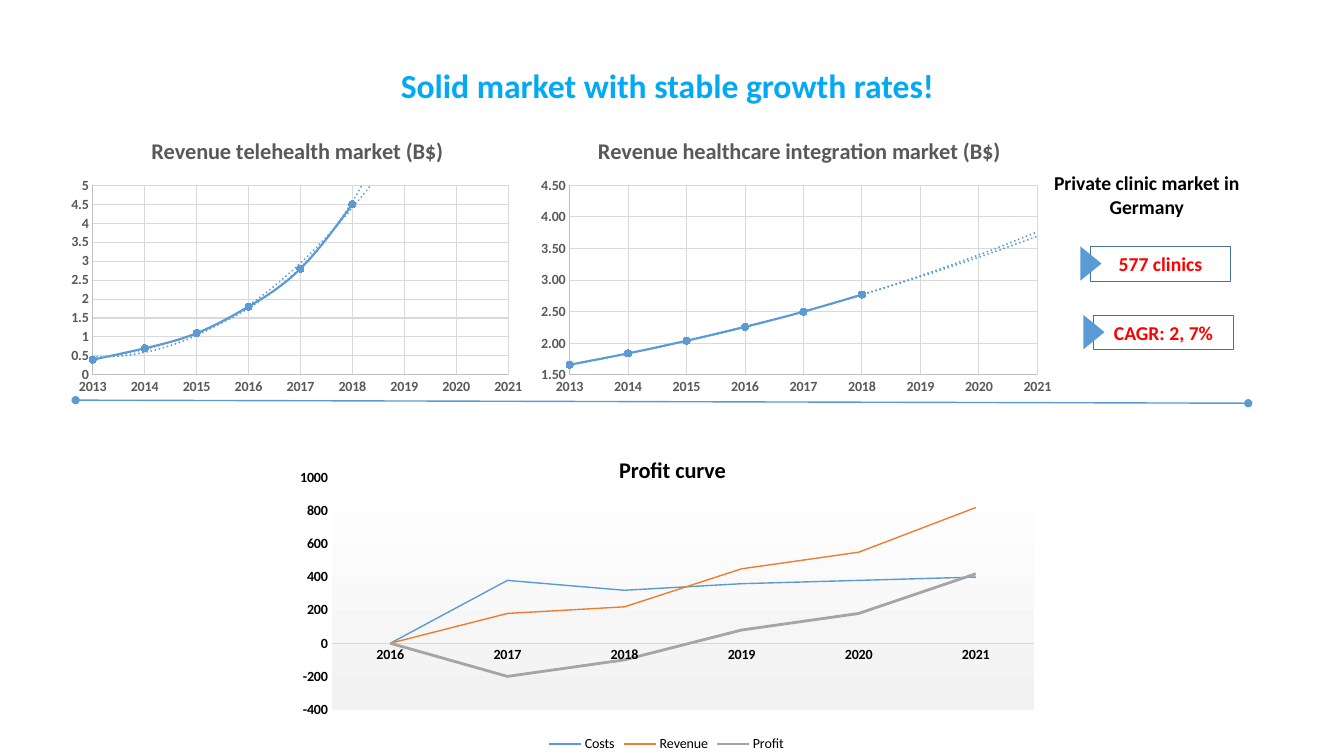
from pptx import Presentation
from pptx.chart.data import CategoryChartData, XyChartData
from pptx.dml.color import RGBColor
from pptx.enum.chart import XL_CHART_TYPE, XL_LEGEND_POSITION, XL_MARKER_STYLE, XL_TICK_MARK
from pptx.enum.shapes import MSO_CONNECTOR, MSO_SHAPE
from pptx.enum.text import MSO_ANCHOR, PP_ALIGN
from pptx.oxml import parse_xml
from pptx.oxml.ns import nsdecls, qn
from pptx.util import Inches, Pt

# Content; boxes are (left, top, width, height) in inches
TITLE = "Solid market with stable growth rates!"
CLINICS = "Private clinic market in Germany"
BADGES = [("577 clinics", 10.82, 2.45), ("CAGR: 2, 7%", 10.85, 3.13)]
MARKETS = [
    dict(title="Revenue telehealth market (B$)", values=[0.4, 0.7, 1.1, 1.8, 2.8, 4.5],
         low=0, high=5, fmt="General", box=(0.62, 1.2, 4.65, 2.77),
         plot=(0.92, 1.84, 4.12, 1.88), title_at=(1.46, 1.31)),
    dict(title="Revenue healthcare integration market (B$)",
         values=[1.66, 1.84, 2.04, 2.26, 2.5, 2.77],
         low=1.5, high=4.5, fmt="0.00", box=(5.27, 1.2, 5.26, 2.77),
         plot=(5.65, 1.84, 4.64, 1.88), title_at=(5.89, 1.31)),
]
YEARS = range(2013, 2022)
PROFIT_TITLE = "Profit curve"
PROFIT_YEARS = ["2016", "2017", "2018", "2019", "2020", "2021"]
PROFIT_SERIES = [
    ("Costs", [0, 380, 320, 360, 380, 400], "5B9BD5", 1),
    ("Revenue", [0, 180, 220, 450, 550, 820], "ED7D31", 1),
    ("Profit", [0, -200, -100, 80, 180, 420], "A5A5A5", 2),
]
PROFIT_BOX, PROFIT_PLOT = (2.82, 4.11, 7.58, 3.39), (3.29, 4.74, 6.97, 2.3)
BLUE, GREY, GRID, AXIS = "5B9BD5", "595959", "D9D9D9", "BFBFBF"


def rgb(color):
    return RGBColor.from_string(color)


def inches(box):
    return [Inches(v) for v in box]


def set_font(font, size=10, color="000000", bold=False):
    font.name, font.size, font.bold = "Calibri", Pt(size), bold
    font.color.rgb = rgb(color)


def set_line(line, color, width):
    line.color.rgb = rgb(color)
    line.width = Pt(width)


def write(tf, text, anchor=MSO_ANCHOR.TOP, **font):
    tf.word_wrap = True
    tf.vertical_anchor = anchor
    p = tf.paragraphs[0]
    p.alignment = PP_ALIGN.CENTER
    r = p.add_run()
    r.text = text
    set_font(r.font, **font)


def layout_xml(box, at, inner=False):
    """Manual chart layout from slide positions, as fractions of the chart box."""
    parts = ['<c:layoutTarget val="inner"/>'] if inner else []
    names = ["x", "y", "w", "h"][:len(at)]
    parts += [f'<c:{n}Mode val="edge"/>' for n in names[:2]]
    shares = [(at[0] - box[0]) / box[2], (at[1] - box[1]) / box[3]]
    shares += [length / full for length, full in zip(at[2:], box[2:])]
    parts += [f'<c:{n} val="{v:.4f}"/>' for n, v in zip(names, shares)]
    return parse_xml(f'<c:layout {nsdecls("c")}><c:manualLayout>{"".join(parts)}'
                     '</c:manualLayout></c:layout>')


def add_chart(kind, data, box, plot, title, title_at, color):
    chart = slide.shapes.add_chart(kind, *inches(box), data).chart
    set_font(chart.font)
    chart.has_legend = False
    chart.has_title = True
    write(chart.chart_title.text_frame, title, size=16, color=color, bold=True)
    chart.chart_title.include_in_layout = False
    title_el = chart._chartSpace.chart.find(qn("c:title"))
    area = chart._chartSpace.chart.plotArea
    for parent in (title_el, area):
        for old in parent.findall(qn("c:layout")):
            parent.remove(old)
    title_el.find(qn("c:tx")).addnext(layout_xml(box, title_at))
    area.insert(0, layout_xml(box, plot, inner=True))
    for axis in (chart.category_axis, chart.value_axis):
        axis.major_tick_mark = axis.minor_tick_mark = XL_TICK_MARK.NONE
        axis.has_major_gridlines = False
        set_font(axis.tick_labels.font, color=color, bold=True)
    chart.plots[0].vary_by_categories = False
    return chart


def trendline(kind):
    return parse_xml(
        f'<c:trendline {nsdecls("c", "a")}><c:spPr><a:ln w="19050" cap="rnd"><a:solidFill>'
        f'<a:srgbClr val="{BLUE}"/></a:solidFill><a:prstDash val="sysDot"/></a:ln></c:spPr>'
        f'{kind}<c:forward val="3"/><c:dispRSqr val="0"/><c:dispEq val="0"/></c:trendline>')


def add_market(title, values, low, high, fmt, box, plot, title_at):
    data = XyChartData()
    points = data.add_series("Series 1")
    for i, year in enumerate(YEARS):
        points.add_data_point(year, values[i] if i < len(values) else None)
    chart = add_chart(XL_CHART_TYPE.XY_SCATTER_SMOOTH, data, box, plot, title, title_at, GREY)
    for axis, limits, number in ((chart.category_axis, (YEARS[0], YEARS[-1], 1), "General"),
                                 (chart.value_axis, (low, high, 0.5), fmt)):
        axis.minimum_scale, axis.maximum_scale, axis.major_unit = limits
        axis.tick_labels.number_format = number
        axis.tick_labels.number_format_is_linked = False
        axis.has_major_gridlines = True
        set_line(axis.major_gridlines.format.line, GRID, 0.75)
        set_line(axis.format.line, AXIS, 0.75)
    s = chart.plots[0].series[0]
    set_line(s.format.line, BLUE, 1.5)
    s.marker.style, s.marker.size = XL_MARKER_STYLE.CIRCLE, 5
    s.marker.format.fill.solid()
    s.marker.format.fill.fore_color.rgb = rgb(BLUE)
    set_line(s.marker.format.line, BLUE, 0.75)
    ser = s._element
    ser.find(qn("c:smooth")).set("val", "1")
    # Future years have no value yet
    for pt in list(ser.find(qn("c:yVal")).iter(qn("c:pt")))[len(values):]:
        pt.getparent().remove(pt)
    for kind in ('<c:trendlineType val="exp"/>',
                 '<c:trendlineType val="poly"/><c:order val="2"/>'):
        ser.find(qn("c:xVal")).addprevious(trendline(kind))


def add_profit():
    data = CategoryChartData()
    data.categories = PROFIT_YEARS
    for name, values, _, _ in PROFIT_SERIES:
        data.add_series(name, values)
    chart = add_chart(XL_CHART_TYPE.LINE, data, PROFIT_BOX, PROFIT_PLOT, PROFIT_TITLE,
                      (6.1, 4.47), "000000")
    set_line(chart.category_axis.format.line, GRID, 0.75)
    axis = chart.value_axis
    axis.minimum_scale, axis.maximum_scale, axis.major_unit = -400, 1000, 200
    axis.format.line.fill.background()
    chart.has_legend = True
    chart.legend.position = XL_LEGEND_POSITION.BOTTOM
    chart.legend.include_in_layout = False
    set_font(chart.legend.font)
    for s, (_, _, color, width) in zip(chart.plots[0].series, PROFIT_SERIES):
        s.smooth = False
        set_line(s.format.line, color, width)
    chart._chartSpace.chart.plotArea.append(parse_xml(
        f'<c:spPr {nsdecls("c", "a")}><a:gradFill><a:gsLst>'
        '<a:gs pos="0"><a:srgbClr val="FFFFFF"/></a:gs>'
        '<a:gs pos="100000"><a:srgbClr val="F2F2F2"/></a:gs>'
        '</a:gsLst><a:lin ang="5400000" scaled="0"/></a:gradFill></c:spPr>'))


def add_badge(text, left, top):
    shapes = slide.shapes.add_group_shape().shapes
    frame = shapes.add_shape(MSO_SHAPE.RECTANGLE, *inches((left, top, 1.38, 0.34)))
    frame.fill.background()
    set_line(frame.line, "43739E", 0.75)
    write(frame.text_frame, text, anchor=MSO_ANCHOR.MIDDLE, size=14, color="FF0000", bold=True)
    arrow = shapes.add_shape(MSO_SHAPE.ISOSCELES_TRIANGLE,
                             *inches((left - 0.17, top + 0.06, 0.34, 0.21)))
    arrow.rotation = 90
    arrow.fill.solid()
    arrow.fill.fore_color.rgb = rgb(BLUE)
    arrow.line.fill.background()
    frame.shadow.inherit = arrow.shadow.inherit = False


prs = Presentation()
prs.slide_width, prs.slide_height = Inches(13.33), Inches(7.5)
slide = prs.slides.add_slide(prs.slide_layouts[5])

# Title
title = slide.shapes.title
title.left, title.top, title.width, title.height = inches((0.54, 0.59, 12.16, 0.5))
write(title.text_frame, TITLE, anchor=MSO_ANCHOR.MIDDLE, size=24, color="03A9F4", bold=True)

# Divider with round ends
divider = slide.shapes.add_connector(MSO_CONNECTOR.STRAIGHT, *inches((0.75, 3.97, 12.38, 4)))
set_line(divider.line, BLUE, 1)
props = divider._element.spPr
for end in ("headEnd", "tailEnd"):
    props.find(qn("a:ln")).append(parse_xml(f'<a:{end} {nsdecls("a")} type="oval"/>'))
props.append(parse_xml(f'<a:effectLst {nsdecls("a")}/>'))

# Charts and clinic figures
for market in MARKETS:
    add_market(**market)
box = slide.shapes.add_textbox(*inches((10.16, 1.65, 2.43, 0.57)))
write(box.text_frame, CLINICS, size=14, bold=True)
for badge in BADGES:
    add_badge(*badge)
add_profit()

prs.save("out.pptx")
